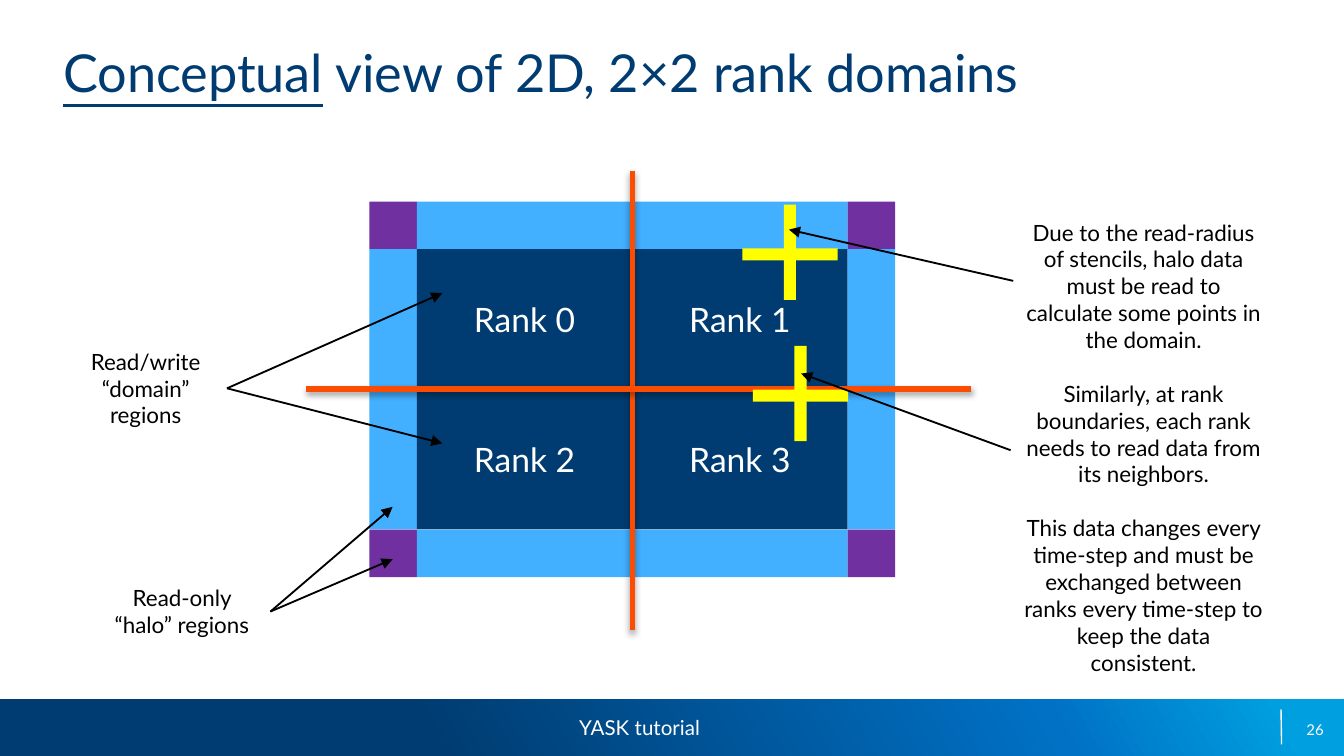
from dataclasses import dataclass
from lxml import etree
from pptx import Presentation
from pptx import util as u
from pptx.dml.color import RGBColor
from pptx.enum import shapes, text
from pptx.oxml import parse_xml
from pptx.oxml.ns import nsdecls, qn


@dataclass(frozen=True)
class Theme:
    font: str = "Lato"
    navy: str = "003C71"
    blue: str = "0071C5"
    cyan: str = "009FDF"
    halo: str = "43AFFF"
    corner: str = "7030A0"
    divider: str = "FC4C02"
    stencil: str = "FFFF00"
    white: str = "FFFFFF"
    black: str = "000000"
    title: int = 28
    rank: int = 18
    label: int = 12
    footer: int = 11
    number: int = 8


theme = Theme()
cm = u.Cm
rgb = RGBColor.from_string
LEFT, CENTER, RIGHT = text.PP_ALIGN.LEFT, text.PP_ALIGN.CENTER, text.PP_ALIGN.RIGHT
TOP, MIDDLE = text.MSO_ANCHOR.TOP, text.MSO_ANCHOR.MIDDLE


def write(tf, paragraphs, size, color, align=CENTER, anchor=TOP, gap=0):
    tf.word_wrap = True
    tf.auto_size = text.MSO_AUTO_SIZE.NONE
    tf.vertical_anchor = anchor
    for i, runs in enumerate(paragraphs):
        p = tf.paragraphs[0] if i == 0 else tf.add_paragraph()
        p.alignment = align
        p.space_before = u.Pt(gap if i else 0)
        for content, underline in runs:
            r = p.add_run()
            r.text = content
            r.font.name = theme.font
            r.font.size = u.Pt(size)
            r.font.color.rgb = rgb(color)
            r.font.underline = underline


def add_line(start, end, color, width):
    line = s.shapes.add_connector(
        shapes.MSO_CONNECTOR.STRAIGHT, *[cm(v) for v in (*start, *end)])
    line.line.color.rgb = rgb(color)
    line.line.width = u.Pt(width)
    effects = etree.SubElement(line._element.spPr, qn("a:effectLst"))
    return line, effects


prs = Presentation()
prs.slide_width, prs.slide_height = cm(25.4), cm(14.29)
s = prs.slides.add_slide(prs.slide_layouts[5])

title = s.shapes.title
title.left, title.top, title.width, title.height = cm(0.94), cm(0.61), cm(23.19), cm(1.47)
write(title.text_frame, [[("Conceptual", True), (" view of 2D, 2×2 rank domains", False)]],
      theme.title, theme.navy, LEFT, MIDDLE)

footer = s.shapes.add_shape(shapes.MSO_SHAPE.RECTANGLE, 0, cm(13.22), cm(25.4), cm(1.07))
footer.shadow.inherit = False
footer.line.fill.background()
footer.fill.gradient()
footer.fill.gradient_angle = 29
stops = footer._element.spPr.find(qn("a:gradFill")).find(qn("a:gsLst"))
for stop in list(stops):
    stops.remove(stop)
for position, color in ((32, theme.navy), (78, theme.blue), (95, theme.cyan)):
    stops.append(parse_xml(
        f'<a:gs {nsdecls("a")} pos="{position * 1000}"><a:srgbClr val="{color}"/></a:gs>'))
add_line((24.21, 13.41), (24.22, 14.07), theme.white, 0.75)

columns, rows = (0.9, 4.07, 4.07, 0.9), (0.9, 2.65, 2.65, 0.9)
grid_left, grid_top = 6.98, 3.81
for row, height in enumerate(rows):
    for col, width in enumerate(columns):
        outer = (row in (0, 3)) + (col in (0, 3))
        cell = s.shapes.add_shape(
            shapes.MSO_SHAPE.RECTANGLE, cm(grid_left + sum(columns[:col])),
            cm(grid_top + sum(rows[:row])), cm(width), cm(height))
        cell.shadow.inherit = False
        cell.line.fill.background()
        cell.fill.solid()
        cell.fill.fore_color.rgb = rgb((theme.navy, theme.halo, theme.corner)[outer])
        if outer == 0:
            rank = 2 * (row - 1) + col - 1
            write(cell.text_frame, [[(f"Rank {rank}", False)]],
                  theme.rank, theme.white, anchor=MIDDLE)

for start, end in (((11.95, 3.23), (11.95, 11.91)), ((18.36, 7.35), (5.79, 7.35))):
    line, effects = add_line(start, end, theme.divider, 3)
    effects.append(parse_xml(
        f'<a:outerShdw {nsdecls("a")} blurRad="40000" dist="23000" dir="5400000" '
        f'rotWithShape="0"><a:srgbClr val="{theme.black}"><a:alpha val="35000"/>'
        '</a:srgbClr></a:outerShdw>'))

arm, thickness = 1.8, 0.23
for x, y in ((14.93, 4.77), (15.13, 7.44)):
    for width, height, drop in ((thickness, arm, 0), (arm, thickness, 0.04)):
        bar = s.shapes.add_shape(
            shapes.MSO_SHAPE.RECTANGLE, cm(x - width / 2), cm(y + drop - height / 2),
            cm(width), cm(height))
        bar.shadow.inherit = False
        bar.line.fill.background()
        bar.fill.solid()
        bar.fill.fore_color.rgb = rgb(theme.stencil)

arrows = (
    ((5.11, 11.56), (7.42, 10.57)),
    ((5.11, 11.56), (7.42, 9.58)),
    ((4.29, 7.34), (8.36, 5.54)),
    ((4.29, 7.34), (8.36, 8.38)),
    ((19.15, 5.31), (14.91, 4.34)),
    ((19.1, 8.51), (15.14, 7.06)),
)
for start, end in arrows:
    line, effects = add_line(start, end, theme.black, 1)
    etree.SubElement(line.line._get_or_add_ln(), qn("a:tailEnd"), type="triangle")

explanation = (
    "Due to the read-radius of stencils, halo data must be read to calculate "
    "some points in the domain.",
    "Similarly, at rank boundaries, each rank needs to read data from its neighbors.",
    "This data changes every time-step and must be exchanged between ranks every "
    "time-step to keep the data consistent.",
)
labels = (
    ((1.8, 10.92, 3.28, 1.27), ("Read-only “halo” regions",), theme.label, theme.black),
    ((1.22, 6.45, 3.07, 1.8), ("Read/write “domain” regions",), theme.label, theme.black),
    ((19.1, 4.01, 5.03, 8.97), explanation, theme.label, theme.black),
    ((7.44, 13.39, 9.3, 0.76), ("YASK tutorial",), theme.footer, theme.white),
)
for box, paragraphs, size, color in labels:
    label = s.shapes.add_textbox(*[cm(v) for v in box])
    write(label.text_frame, [[(content, False)] for content in paragraphs],
          size, color, gap=14.4)

number = s.shapes.add_textbox(cm(19.1), cm(13.41), cm(5.92), cm(0.76))
tf = number.text_frame
tf.margin_left = tf.margin_right = tf.margin_top = tf.margin_bottom = 0
write(tf, [[("26", False)]], theme.number, theme.white, RIGHT, MIDDLE)

prs.save("out.pptx")
